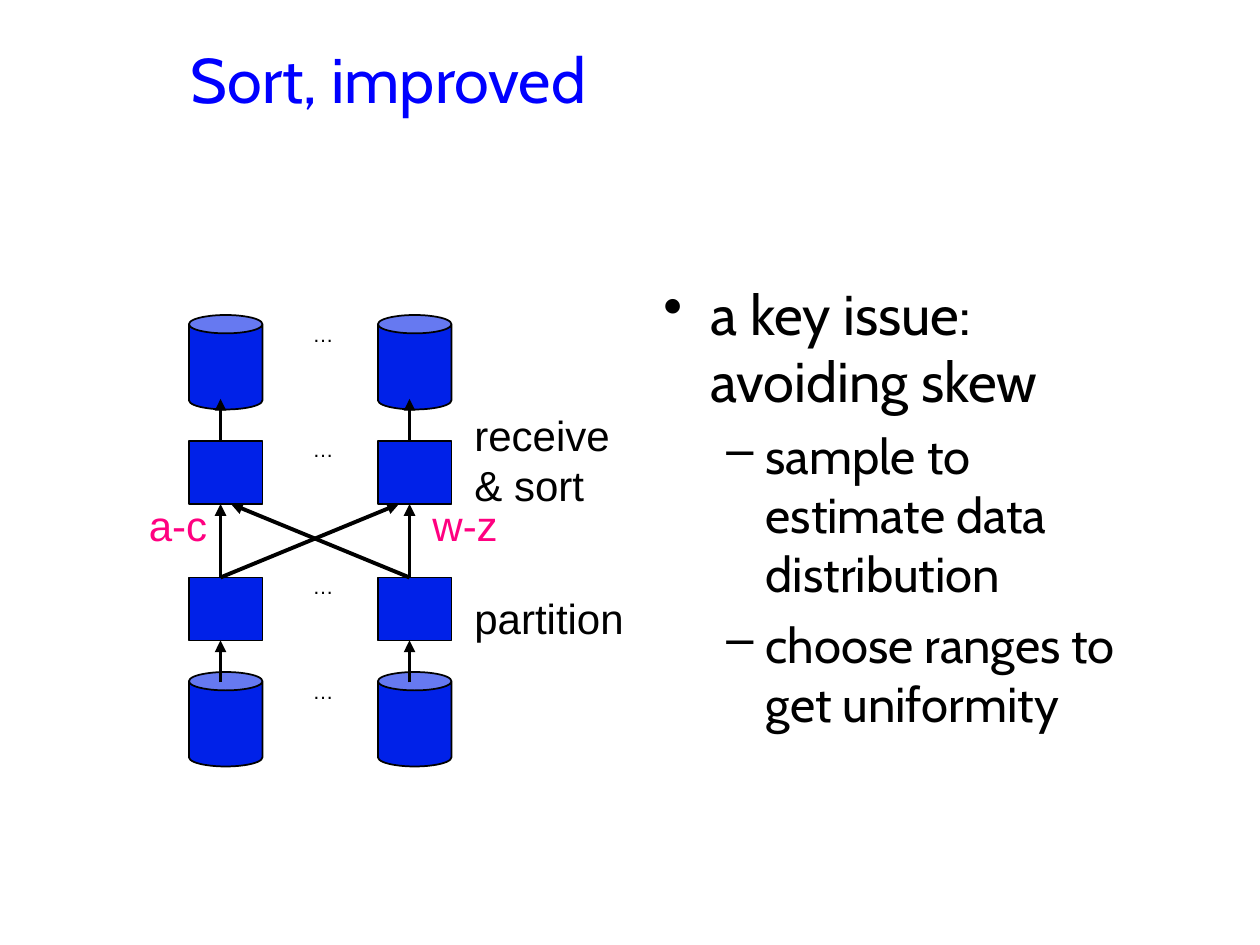
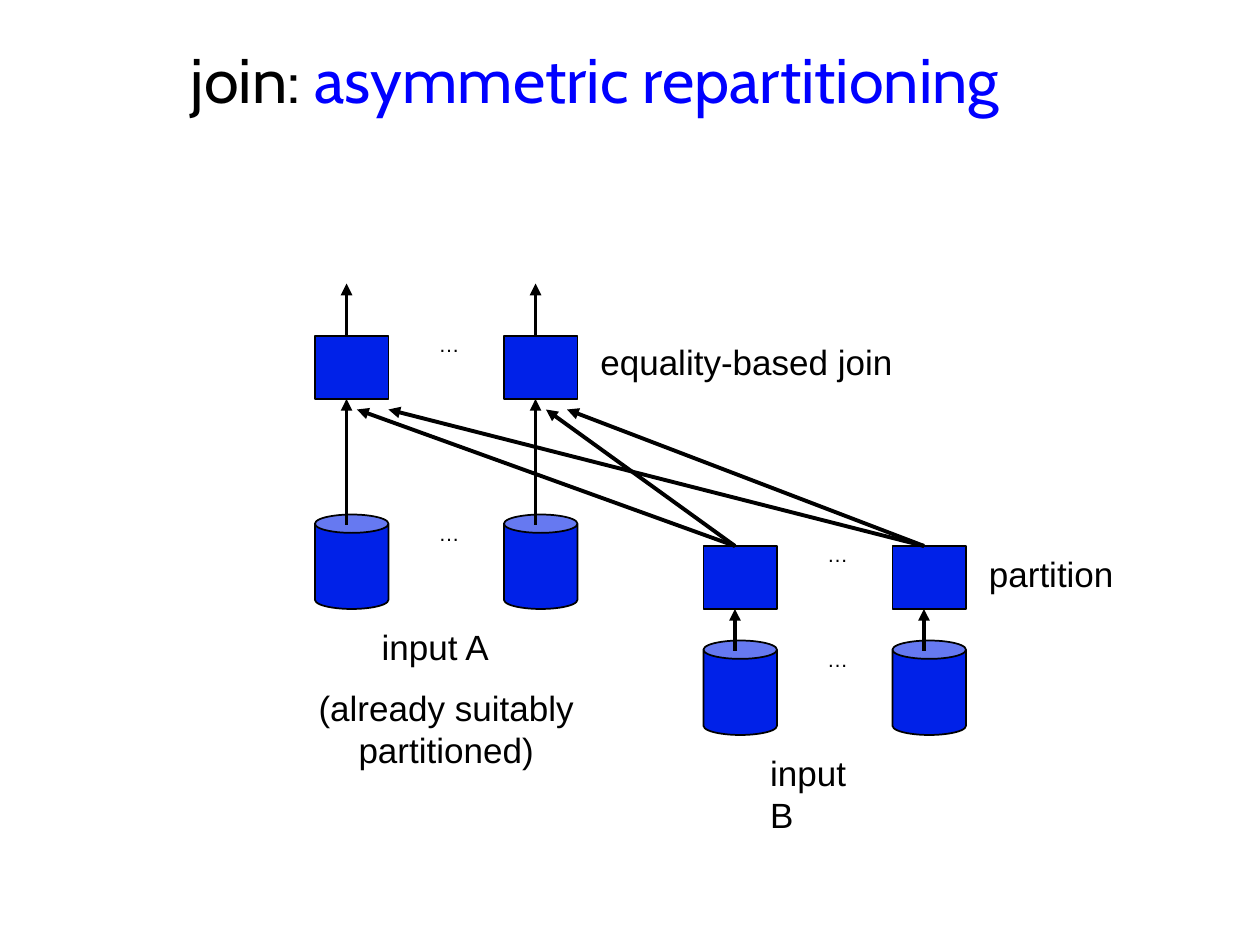
import pptx
import pptx.util
import pptx.dml.color
import pptx.enum.shapes
import pptx.enum.text
import pptx.oxml.ns
from lxml import etree

Pt = pptx.util.Pt
SHAPES = pptx.enum.shapes.MSO_SHAPE
ALIGN = pptx.enum.text.PP_ALIGN
ANCHOR = pptx.enum.text.MSO_ANCHOR
AUTO_SIZE = pptx.enum.text.MSO_AUTO_SIZE

BLACK, BLUE, NODE_BLUE, PINK = "000000", "0000FF", "0021E8", "FF0080"
HEADING_FONT, LABEL_FONT = "Cabin", "Arial"

NODE_WIDTH, BOX_HEIGHT, CAN_HEIGHT = 42, 36, 54
NODE_PITCH = 108
ARROW_INSET = 18
LABEL_OFFSET = 156


def rgb(hex_colour):
    return pptx.dml.color.RGBColor.from_string(hex_colour)


def add_xml(parent, tag, **attributes):
    return etree.SubElement(parent, pptx.oxml.ns.qn(tag), attributes)


def write(paragraph, text, size=24, font=LABEL_FONT, colour=BLACK):
    run = paragraph.add_run()
    run.text = text
    run.font.size = Pt(size)
    run.font.name = font
    run.font.color.rgb = rgb(colour)


def text_frame(slide, left, top, width, height, wrap=True):
    frame = slide.shapes.add_textbox(Pt(left), Pt(top), Pt(width), Pt(height)).text_frame
    frame.word_wrap = wrap
    return frame


def label(slide, text, left, top, width, height, wrap=True, align=ALIGN.LEFT, **style):
    frame = text_frame(slide, left, top, width, height, wrap)
    frame.auto_size = AUTO_SIZE.SHAPE_TO_FIT_TEXT
    frame.paragraphs[0].alignment = align
    write(frame.paragraphs[0], text, **style)


def title(slide, *parts):
    frame = text_frame(slide, 102, 0, 564, 90)
    frame.vertical_anchor = ANCHOR.MIDDLE
    for text, colour in parts:
        write(frame.paragraphs[0], text, size=36, font=HEADING_FONT, colour=colour)


def node_pair(slide, preset, height, left, top, ellipsis_top):
    for node_left in (left, left + NODE_PITCH):
        node = slide.shapes.add_shape(preset, Pt(node_left), Pt(top), Pt(NODE_WIDTH), Pt(height))
        node.shadow.inherit = False
        node.fill.solid()
        node.fill.fore_color.rgb = rgb(NODE_BLUE)
        node.line.color.rgb = rgb(BLACK)
        node.line.width = Pt(1)
    label(slide, "…", left + 63.5, ellipsis_top, 26, 21.6, wrap=False, size=12)


def disks(slide, left, top):
    node_pair(slide, SHAPES.CAN, CAN_HEIGHT, left, top, top)


def processes(slide, left, top):
    node_pair(slide, SHAPES.RECTANGLE, BOX_HEIGHT, left, top, top - 6)


def arrow(slide, start, end):
    connector = slide.shapes.add_connector(
        pptx.enum.shapes.MSO_CONNECTOR.STRAIGHT, *[Pt(value) for value in (*start, *end)])
    connector.line.color.rgb = rgb(BLACK)
    connector.line.width = Pt(2.25)
    add_xml(connector.line._get_or_add_ln(), "a:tailEnd", type="triangle")
    add_xml(connector._element.spPr, "a:effectLst")


def arrow_columns(left):
    return left + ARROW_INSET, left + NODE_PITCH + ARROW_INSET


def upward_arrows(slide, left, start_y, end_y):
    for x in arrow_columns(left):
        arrow(slide, (x, start_y), (x, end_y))


def sort_diagram(slide, left, top):
    receive_top, partition_top, input_top = top + 72, top + 150, top + 204
    receive_bottom = receive_top + BOX_HEIGHT
    disks(slide, left, top)
    processes(slide, left, receive_top)
    processes(slide, left, partition_top)
    disks(slide, left, input_top)

    upward_arrows(slide, left, receive_top, top + 48)
    upward_arrows(slide, left, partition_top, receive_bottom)
    upward_arrows(slide, left, input_top + 6, partition_top + BOX_HEIGHT)
    first, last = arrow_columns(left)
    arrow(slide, (last, partition_top), (first + 6, receive_bottom))
    arrow(slide, (first, partition_top), (last - 6, receive_bottom))

    label(slide, "receive & sort", left + LABEL_OFFSET, top + 50.4, 96, 65)
    label(slide, "partition", left + LABEL_OFFSET, partition_top + 4.8, 112, 36)
    label(slide, "a-c", left - 30, top + 102, 48, 36, colour=PINK)
    label(slide, "w-z", left + 132, top + 102, 54, 36, colour=PINK)


def key_issue(slide, left, top, width, height):
    frame = text_frame(slide, left, top, width, height)
    points = [
        ("a key issue: avoiding skew", 0),
        ("sample to estimate data distribution", 1),
        ("choose ranges to get uniformity", 1),
    ]
    levels = [("•", 27, 27, 32), ("–", 58.5, 22.5, 28)]
    for index, (text, level) in enumerate(points):
        mark, margin, hanging, size = levels[level]
        paragraph = frame.add_paragraph() if index else frame.paragraphs[0]
        properties = paragraph._p.get_or_add_pPr()
        properties.set("marL", str(Pt(margin)))
        properties.set("indent", str(-Pt(hanging)))
        add_xml(add_xml(properties, "a:buClr"), "a:srgbClr", val=BLACK)
        add_xml(properties, "a:buChar", char=mark)
        paragraph.level = level
        paragraph.space_before = Pt(7 if index else 0)
        write(paragraph, text, size=size, font=HEADING_FONT)


def join_diagram(slide, left, top):
    b_left = left + 222
    a_disk_top, partition_top, b_disk_top = top + 102, top + 120, top + 174
    processes(slide, left, top)
    disks(slide, left, a_disk_top)
    processes(slide, b_left, partition_top)
    disks(slide, b_left, b_disk_top)

    upward_arrows(slide, left, top, top - 30)
    upward_arrows(slide, left, a_disk_top + 6, top + BOX_HEIGHT)
    upward_arrows(slide, b_left, b_disk_top + 6, partition_top + BOX_HEIGHT)
    for source, offsets in zip(arrow_columns(b_left), ((6, 6), (24, 18))):
        for target, offset in zip(arrow_columns(left), offsets):
            arrow(slide, (source, partition_top), (target + offset, top + BOX_HEIGHT + 6))

    label(slide, "equality-based join", left + LABEL_OFFSET, top - 1.2, 216, 31.5, size=20)
    label(slide, "partition", b_left + LABEL_OFFSET, partition_top, 90, 31.5, size=20)
    label(slide, "input A", left + 31, a_disk_top + 60, 76.3, 31.5, wrap=False, size=20)
    label(slide, "input B", b_left + 31, b_disk_top + 60, 76.3, 31.5, wrap=False, size=20)
    label(slide, "(already suitably partitioned)", left - 6, a_disk_top + 95, 162, 55.5,
          align=ALIGN.CENTER, size=20)


def main():
    deck = pptx.Presentation()
    deck.slide_width, deck.slide_height = Pt(720), Pt(540)
    blank = deck.slide_layouts[6]

    sort_slide = deck.slides.add_slide(blank)
    title(sort_slide, ("Sort, improved", BLUE))
    sort_diagram(sort_slide, 108, 180)
    key_issue(sort_slide, 372, 156, 294, 324)

    join_slide = deck.slides.add_slide(blank)
    title(join_slide, ("join:", BLACK), (" asymmetric repartitioning", BLUE))
    join_diagram(join_slide, 180, 192)

    deck.save("out.pptx")


if __name__ == "__main__":
    main()
